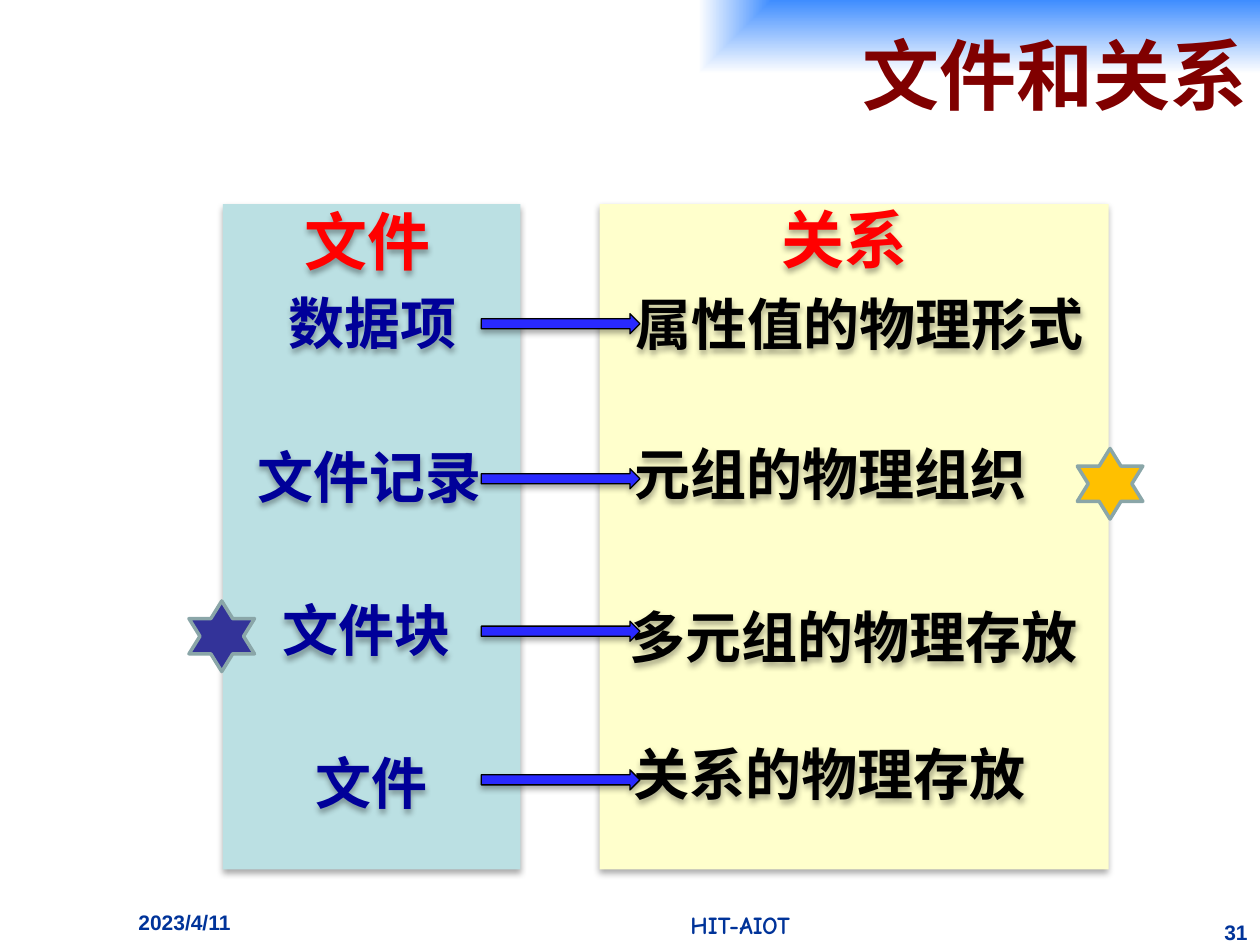
import pptx
import pptx.util
import pptx.dml.color
import pptx.enum.shapes
import pptx.enum.text
import pptx.oxml
import pptx.oxml.ns
from lxml import etree

Inches, Pt = pptx.util.Inches, pptx.util.Pt
SHAPE = pptx.enum.shapes.MSO_SHAPE
ALIGN = pptx.enum.text.PP_ALIGN
ANCHOR = pptx.enum.text.MSO_ANCHOR
NS = pptx.oxml.ns.nsdecls("a")

# Content: boxes are left, top, width, height in inches
TITLE = "文件和关系"
PANELS = [((1.77, 1.62, 2.36, 5.28), "BBE0E3"),
          ((4.76, 1.62, 4.04, 5.28), "FFFFCC")]
HEADS = [("文件", 2.32, 1.56), ("关系", 6.1, 1.54)]
# File term, its left, top and width; relation term, its left and top; arrow top
ROWS = [
    ("数据项", 1.97, 2.24, 1.98, "属性值的物理形式", 4.56, 2.25, 2.49),
    ("文件记录", 1.85, 3.46, 2.16, "元组的物理组织", 4.33, 3.44, 3.72),
    ("文件块", 1.92, 4.68, 1.98, "多元组的物理存放", 4.51, 4.73, 4.93),
    ("文件", 1.96, 5.89, 1.98, "关系的物理存放", 4.32, 5.82, 6.11),
]
STARS = [(1.5, 4.77, "333399"), (8.55, 3.56, "FFC000")]
FOOT = [("2023/4/11", (1, 7.17, 1.75, 0.33), 12, "Arial", ALIGN.LEFT),
        ("HIT-AIOT", (3.5, 7.17, 4.75, 0.33), 14, "Comic Neue", ALIGN.CENTER),
        ("31", (9.58, 7.25, 0.42, 0.25), 12, "Arial", ALIGN.RIGHT)]
CJK = "Noto Sans CJK JP"


def paint(color, code):
    color.rgb = pptx.dml.color.RGBColor.from_string(code)


def shade(shape):
    shape._element.spPr.append(pptx.oxml.parse_xml(
        f'<a:effectLst {NS}><a:outerShdw blurRad="44450" dist="27940" '
        'dir="5400000" algn="ctr" rotWithShape="0"><a:srgbClr val="000000">'
        '<a:alpha val="32000"/></a:srgbClr></a:outerShdw></a:effectLst>'))


def style(para, size, face, code, align):
    para.alignment = align
    font = para.font
    font.size, font.name, font.bold = Pt(size), face, True
    paint(font.color, code)
    east = etree.SubElement(font._element, pptx.oxml.ns.qn("a:ea"))
    east.set("typeface", face)


def write(text, box, size, face, code, align=ALIGN.CENTER, wrap=True):
    item = slide.shapes.add_textbox(*map(Inches, box))
    frame = item.text_frame
    frame.text, frame.word_wrap = text, wrap
    style(frame.paragraphs[0], size, face, code, align)
    return item


def draw(kind, box, fill, line=None, width=0):
    item = slide.shapes.add_shape(kind, *map(Inches, box))
    item.shadow.inherit = False
    item.fill.solid()
    paint(item.fill.fore_color, fill)
    if line:
        paint(item.line.color, line)
        item.line.width = Pt(width)
    else:
        item.line.fill.background()
    return item


def cast(item):
    """Replace the empty effect list with a soft drop shadow."""
    for old in item._element.spPr.findall(pptx.oxml.ns.qn("a:effectLst")):
        item._element.spPr.remove(old)
    shade(item)


deck = pptx.Presentation()
deck.slide_width, deck.slide_height = Inches(10), Inches(7.5)
slide = deck.slides.add_slide(deck.slide_layouts[5])

# Title with a gradient that fades from the top right corner
head = slide.shapes.title
head.left, head.top, head.width, head.height = map(Inches, (1.08, 0, 8.92, 1.17))
head.text_frame.text = TITLE
head.text_frame.vertical_anchor = ANCHOR.MIDDLE
style(head.text_frame.paragraphs[0], 44, "Noto Sans CJK SC", "800000", ALIGN.RIGHT)
head._element.spPr.append(pptx.oxml.parse_xml(
    f'<a:gradFill {NS} rotWithShape="0"><a:gsLst>'
    '<a:gs pos="0"><a:srgbClr val="3F8DFF"/></a:gs>'
    '<a:gs pos="100000"><a:srgbClr val="FFFFFF"/></a:gs></a:gsLst>'
    '<a:path path="rect"><a:fillToRect l="100000" b="100000"/></a:path>'
    '</a:gradFill>'))

# Footer
for text, box, size, face, align in FOOT:
    write(text, box, size, face, "003399", align)

# Panels and their headings
for box, code in PANELS:
    cast(draw(SHAPE.RECTANGLE, box, code))
for text, left, top in HEADS:
    cast(write(text, (left, top, 1.21, 0.71), 36, CJK, "FF0000", ALIGN.LEFT, False))

# Each file term points to its relation term
for term, left, top, width, mate, start, level, rise in ROWS:
    cast(write(term, (left, top, width, 0.64), 32, CJK, "000099"))
    cast(write(mate, (start, level, 4.53, 0.64), 32, CJK, "000000"))
    cast(draw(SHAPE.RIGHT_ARROW, (3.82, rise, 1.26, 0.16), "2929FF", "000000", 0.75))

# Stars
for left, top, code in STARS:
    draw(SHAPE.STAR_6_POINT, (left, top, 0.52, 0.56), code, "8AA6A8", 2)

deck.save("out.pptx")
